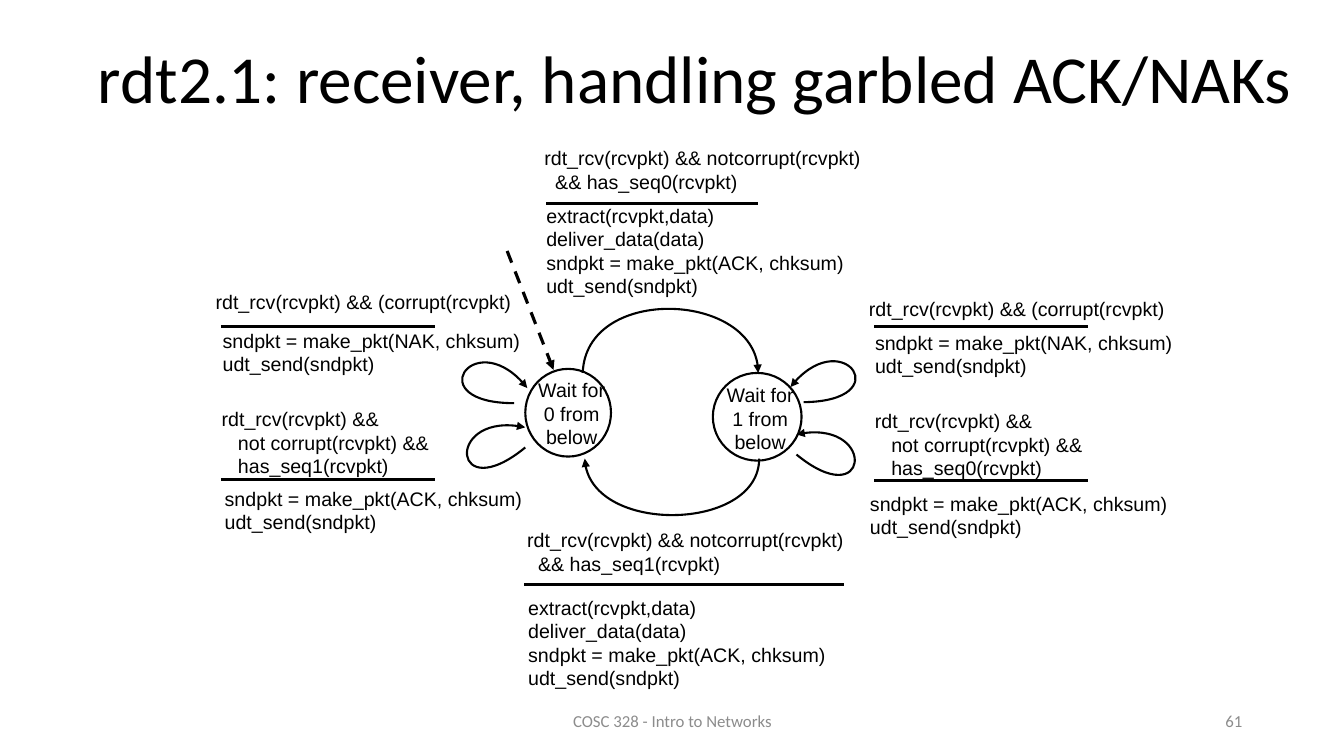
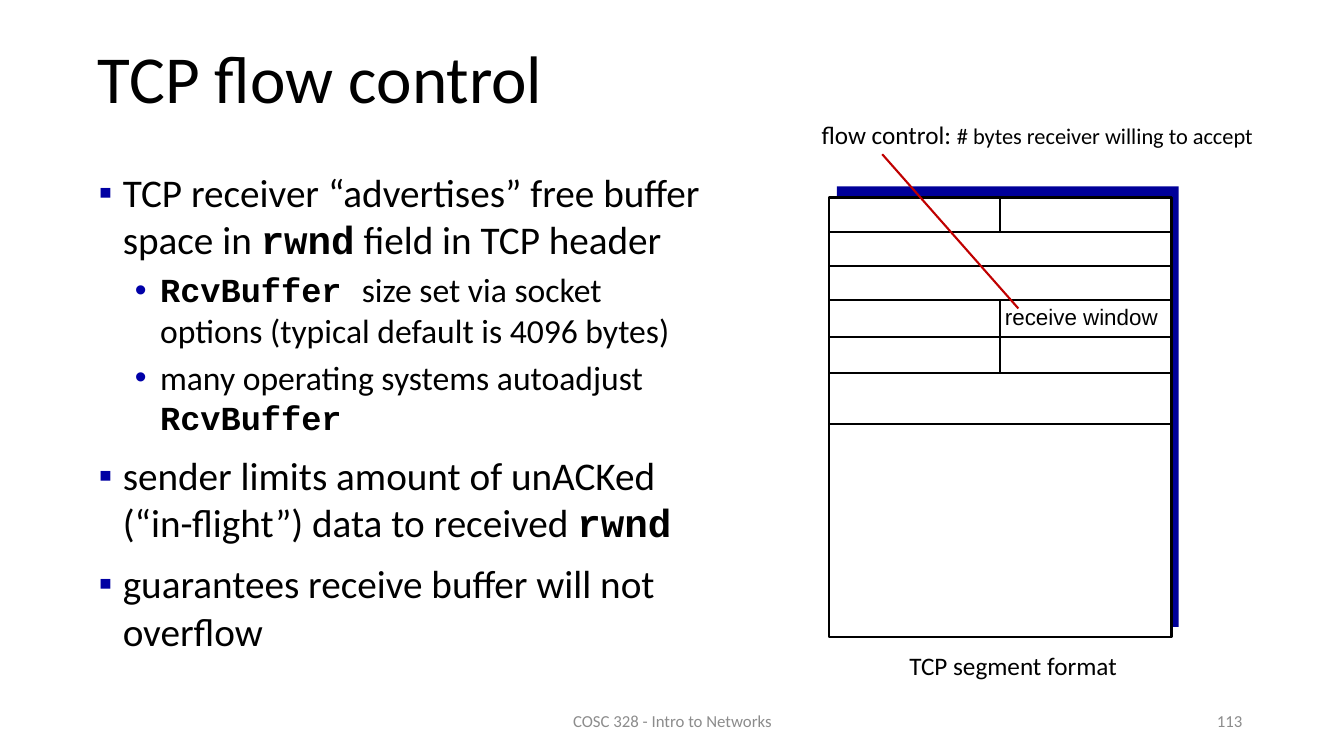
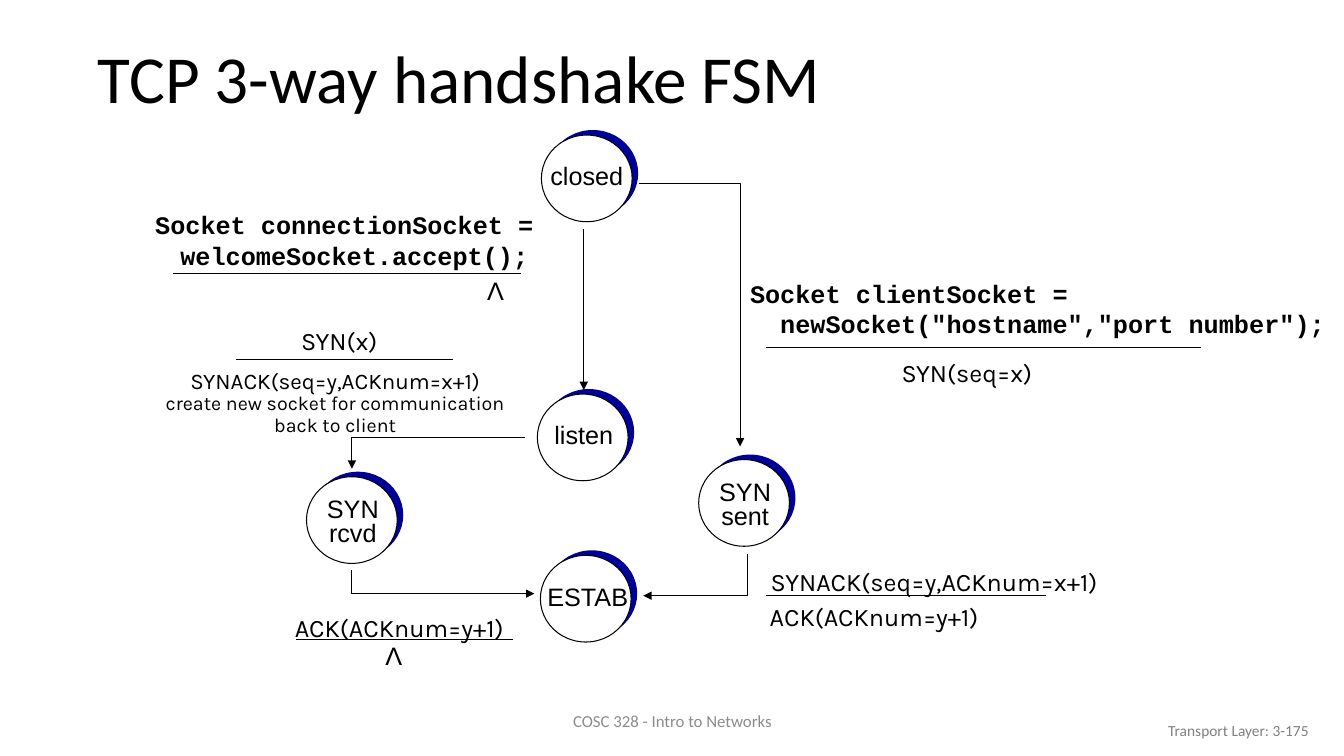
from dataclasses import dataclass
from itertools import accumulate
from typing import NamedTuple

from lxml.etree import SubElement
from pptx import Presentation
from pptx.dml.color import RGBColor
from pptx.enum.dml import MSO_LINE
from pptx.enum.shapes import MSO_CONNECTOR, MSO_SHAPE
from pptx.enum.text import MSO_ANCHOR, MSO_AUTO_SIZE, PP_ALIGN
from pptx.oxml.ns import qn
from pptx.util import Emu, Pt

PX = 9144
LEFT, CENTER, RIGHT = PP_ALIGN.LEFT, PP_ALIGN.CENTER, PP_ALIGN.RIGHT


@dataclass(frozen=True)
class Theme:
    ink: RGBColor = RGBColor(0x00, 0x00, 0x00)
    paper: RGBColor = RGBColor(0xFF, 0xFF, 0xFF)
    navy: RGBColor = RGBColor(0x00, 0x00, 0x99)
    red: RGBColor = RGBColor(0xC0, 0x00, 0x00)
    footer: RGBColor = RGBColor(0x8C, 0x8C, 0x8C)
    chapter: RGBColor = RGBColor(0x80, 0x80, 0x80)
    square_bullet: str = "0000A3"
    round_bullet: str = "0000A8"
    body: str = "Calibri"
    label: str = "Arial"
    code: str = "Courier New"
    message: str = "Karla"
    title_size: int = 48
    point_size: int = 28
    subpoint_size: int = 24
    state_size: int = 18
    note_size: int = 16
    event_size: int = 14
    footer_size: int = 12
    chapter_size: int = 11
    hairline: float = 0.75
    outline: float = 1.5
    rule: float = 2.25


THEME = Theme()


class Span(NamedTuple):
    text: str
    size: int
    font: str = THEME.body
    bold: bool = False
    color: RGBColor = THEME.ink


class Para(NamedTuple):
    spans: tuple
    align: PP_ALIGN = LEFT
    spacing: float = 1.0
    before: int = 0
    level: int = 0
    margin: int = 0
    hanging: int = 0
    bullet: str = ""
    bullet_color: str = ""


def px(value):
    return Emu(value * PX)


def fill_text(frame, paras):
    for index, item in enumerate(paras):
        para = frame.paragraphs[0] if index == 0 else frame.add_paragraph()
        para.alignment, para.line_spacing, para.level = item.align, item.spacing, item.level
        if index and item.before:
            para.space_before = Pt(item.before)
        if item.hanging:
            properties = para._p.get_or_add_pPr()
            properties.set("marL", str(px(item.margin)))
            properties.set("indent", str(px(-item.hanging)))
            if item.bullet:
                color = SubElement(properties, qn("a:buClr"))
                SubElement(color, qn("a:srgbClr"), val=item.bullet_color)
                SubElement(properties, qn("a:buFont"), typeface=THEME.label)
                SubElement(properties, qn("a:buChar"), char=item.bullet)
        for span in item.spans:
            run = para.add_run()
            run.text = span.text
            run.font.size, run.font.name, run.font.bold = Pt(span.size), span.font, span.bold
            run.font.color.rgb = span.color


def add_text(page, area, paras, wrap=True, anchor=MSO_ANCHOR.TOP):
    box = page.shapes.add_textbox(*map(px, area))
    box.text_frame.word_wrap = wrap
    box.text_frame.vertical_anchor = anchor
    fill_text(box.text_frame, paras)


def lines(texts, size=THEME.event_size, font=THEME.label, align=LEFT, spacing=1.0, bold=False):
    return [Para((Span(text, size, font, bold),), align, spacing) for text in texts]


def add_shape(page, kind, area, fill, weight=0):
    shape = page.shapes.add_shape(kind, *map(px, area))
    shape.shadow.inherit = False
    shape.fill.solid()
    shape.fill.fore_color.rgb = fill
    if weight:
        shape.line.color.rgb = THEME.ink
        shape.line.width = Pt(weight)
    else:
        shape.line.fill.background()
    return shape


def style_line(shape, weight, color=THEME.ink, arrow=""):
    shape.line.color.rgb = color
    shape.line.width = Pt(weight)
    if arrow:
        SubElement(shape.line._get_or_add_ln(), qn(f"a:{arrow}End"), type="triangle")


def add_line(page, start, end, weight, color=THEME.ink, arrow="", dashed=False):
    line = page.shapes.add_connector(MSO_CONNECTOR.STRAIGHT, *map(px, start + end))
    if dashed:
        line.line.dash_style = MSO_LINE.DASH
    style_line(line, weight, color, arrow)
    SubElement(line._element.spPr, qn("a:effectLst"))
    return line


def add_route(page, points, weight, arrow="tail", curved=False):
    builder = page.shapes.build_freeform(*points[0], scale=PX)
    builder.add_line_segments(points[1:], close=False)
    route = builder.convert_to_shape()
    route.shadow.inherit = False
    route.fill.background()
    style_line(route, weight, arrow=arrow)
    if curved:
        outline = next(route._element.iter(qn("a:path")))
        segments = outline.findall(qn("a:lnTo"))
        cubic = SubElement(outline, qn("a:cubicBezTo"))
        for segment in segments:
            cubic.append(segment[0])
            outline.remove(segment)


def add_page(deck, title, number="", title_width=1246):
    page = deck.slides.add_slide(deck.slide_layouts[5])
    holder = page.shapes.title
    holder.left, holder.top, holder.width, holder.height = map(px, (87, 32, title_width, 98))
    holder.text_frame.auto_size = MSO_AUTO_SIZE.NONE
    holder.text_frame.vertical_anchor = MSO_ANCHOR.MIDDLE
    holder.text_frame.word_wrap = True
    fill_text(holder.text_frame, [Para((Span(title, THEME.title_size),), spacing=0.9)])
    add_footer(page, (442, 695, 450, 40), "COSC 328 - Intro to Networks", CENTER)
    if number:
        add_footer(page, (942, 695, 300, 40), number, RIGHT)
    return page


def add_footer(page, area, text, align, size=THEME.footer_size, color=THEME.footer):
    para = Para((Span(text, size, color=color),), align)
    add_text(page, area, [para], anchor=MSO_ANCHOR.MIDDLE)


def add_transition(page, condition_area, condition, rule, action_area, action):
    add_text(page, condition_area, lines(condition))
    left, right, height = rule
    add_line(page, (left, height), (right, height), THEME.rule)
    add_text(page, action_area, lines(action))


def build_receiver(deck):
    page = add_page(deck, "rdt2.1: receiver, handling garbled ACK/NAKs", "61", 1214)
    waits = (
        ((521, 366, 85, 87), (523, 370, 88, 67), "0 from below"),
        ((707, 370, 88, 87), (710, 375, 88, 67), "1 from below"),
    )
    for circle, area, text in waits:
        add_shape(page, MSO_SHAPE.OVAL, circle, THEME.paper, THEME.outline)
        add_text(page, area, lines(("Wait for", text), align=CENTER))
    add_line(page, (503, 249), (549, 367), THEME.rule, arrow="tail", dashed=True)

    def good(bit):
        return "rdt_rcv(rcvpkt) && notcorrupt(rcvpkt)", f"  && has_seq{bit}(rcvpkt)"

    def repeated(bit):
        return "rdt_rcv(rcvpkt) &&", "   not corrupt(rcvpkt) &&", f"   has_seq{bit}(rcvpkt)"

    def reply(kind):
        return f"sndpkt = make_pkt({kind}, chksum)", "udt_send(sndpkt)"

    corrupt = ("rdt_rcv(rcvpkt) && (corrupt(rcvpkt)",)
    deliver = ("extract(rcvpkt,data)", "deliver_data(data)") + reply("ACK")
    transitions = (
        ((513, 519, 392, 62), good(1), (520, 837, 580), (514, 586, 421, 109), deliver),
        ((530, 140, 435, 62), good(0), (542, 752, 202), (532, 197, 380, 77), deliver),
        ((852, 290, 314, 67), corrupt, (867, 1079, 324), (858, 323, 331, 45), reply("NAK")),
        ((858, 401, 287, 67), repeated(0), (867, 1079, 477), (853, 483, 322, 45), reply("ACK")),
        ((210, 399, 287, 67), repeated(1), (219, 431, 476), (213, 478, 322, 45), reply("ACK")),
        ((204, 283, 314, 67), corrupt, (219, 431, 324), (211, 321, 331, 45), reply("NAK")),
    )
    for transition in transitions:
        add_transition(page, *transition)
    curves = (
        ("head", ((580, 455), (583, 531), (753, 526), (753, 455))),
        ("tail", ((578, 370), (581, 284), (752, 289), (752, 370))),
        ("tail", ((797, 399), (890, 398), (835, 319), (784, 384))),
        ("tail", ((790, 451), (862, 510), (870, 414), (790, 431))),
        ("tail", ((521, 444), (449, 503), (441, 407), (521, 424))),
        ("tail", ((510, 400), (417, 400), (472, 320), (523, 385))),
    )
    for arrow, points in curves:
        add_route(page, points, THEME.outline, arrow, curved=True)


def point(*spans):
    return Para(spans, before=10, margin=39, hanging=24,
                bullet="▪", bullet_color=THEME.square_bullet)


def subpoint(*spans):
    return Para(spans, before=5, level=1, margin=76, hanging=25,
                bullet="•", bullet_color=THEME.round_bullet)


def build_flow_control(deck):
    page = add_page(deck, "TCP flow control", "113")
    big, small = THEME.point_size, THEME.subpoint_size
    window = Span("rwnd", big, THEME.code, True)
    add_text(page, (73, 162, 637, 537), [
        point(Span("TCP receiver “advertises” free buffer space in ", big), window,
              Span(" field in TCP header", big)),
        subpoint(Span("RcvBuffer ", small, THEME.code, True),
                 Span("size set via socket options (typical default is 4096 bytes)", small)),
        subpoint(Span("many operating systems autoadjust ", small),
                 Span("RcvBuffer", small, THEME.code, True)),
        point(Span("sender limits amount of unACKed (“in-flight”) data to received ", big), window),
        point(Span("guarantees receive buffer will not overflow", big)),
    ])
    add_text(page, (805, 117, 476, 37), [Para((
        Span("flow control: ", THEME.state_size),
        Span("# bytes receiver willing to accept", THEME.note_size)), spacing=0.9)])

    left, top, width, height = 822, 196, 340, 436
    middle = left + width // 2
    add_shape(page, MSO_SHAPE.RECTANGLE, (830, 185, 339, 437), THEME.navy)
    segment = add_shape(page, MSO_SHAPE.RECTANGLE, (left, top, width, height),
                        THEME.paper, THEME.outline)
    row_edges = list(accumulate((34, 34, 34, 36, 36, 51), initial=top))
    for edge in row_edges[1:]:
        add_line(page, (left, edge), (left + width, edge), THEME.outline)
    ports = add_line(page, (middle, top), (middle, row_edges[1]), THEME.outline)
    ports.begin_connect(segment, 0)
    add_line(page, (middle, row_edges[3]), (middle, row_edges[5]), THEME.outline)
    add_text(page, (980, 296, 185, 37),
             lines(("receive window",), THEME.note_size, align=CENTER), wrap=False)
    add_line(page, (1010, 306), (875, 153), THEME.outline, THEME.red)
    add_text(page, (892, 644, 253, 37),
             lines(("TCP segment format",), THEME.state_size, THEME.body, spacing=0.9))


def add_state(page, left, top, area, names, spacing):
    add_shape(page, MSO_SHAPE.OVAL, (left + 6, top - 5, 90, 86), THEME.navy)
    add_shape(page, MSO_SHAPE.OVAL, (left, top, 90, 86), THEME.paper, THEME.hairline)
    add_text(page, area, lines(names, THEME.state_size, align=CENTER, spacing=spacing), wrap=False)


def build_handshake(deck):
    page = add_page(deck, "TCP 3-way handshake FSM")
    add_footer(page, (1008, 705, 300, 40), "Transport Layer: 3-175", RIGHT,
               THEME.chapter_size, THEME.chapter)
    states = (
        (537, 134, (532, 154, 100, 40), ("closed",), 1.0),
        (533, 391, (534, 411, 90, 40), ("listen",), 1.0),
        (304, 473, (305, 490, 90, 58), ("SYN", "rcvd"), 0.8),
        (693, 456, (694, 473, 90, 58), ("SYN", "sent"), 0.8),
        (536, 551, (528, 578, 110, 34), ("ESTAB",), 0.8),
    )
    for state in states:
        add_state(page, *state)

    calls = (
        ((734, 271, 605, 71), ("Socket clientSocket =",
                               "  newSocket(\"hostname\",\"port number\");")),
        ((144, 203, 458, 71), ("Socket connectionSocket = welcomeSocket.accept();",)),
    )
    for area, texts in calls:
        paras = lines(texts, THEME.state_size, THEME.code, bold=True)
        add_text(page, area, [para._replace(margin=25, hanging=25) for para in paras])

    messages = (
        ((473, 268, 37, 40), "Λ", THEME.label, 1.0),
        ((372, 630, 37, 40), "Λ", THEME.label, 1.0),
        ((882, 350, 154, 40), "SYN(seq=x)", THEME.message, 1.0),
        ((288, 318, 97, 40), "SYN(x)", THEME.message, 1.0),
        ((744, 560, 365, 57), "SYNACK(seq=y,ACKnum=x+1)", THEME.message, 0.9),
        ((746, 595, 242, 57), "ACK(ACKnum=y+1)", THEME.message, 0.9),
        ((275, 606, 242, 54), "ACK(ACKnum=y+1)", THEME.message, 0.9),
    )
    for area, text, font, spacing in messages:
        add_text(page, area, lines((text,), THEME.state_size, font, CENTER, spacing), wrap=False)
    add_text(page, (144, 362, 377, 76),
             lines(("SYNACK(seq=y,ACKnum=x+1)",), THEME.note_size, THEME.message, CENTER, 0.9)
             + lines(("create new socket for communication back to client",),
                     THEME.event_size, THEME.message, CENTER, 0.9))

    rules = ((760, 1191, 345), (172, 517, 271), (234, 449, 357), (760, 1037, 591), (294, 509, 634))
    for left, right, height in rules:
        add_line(page, (left, height), (right, height), THEME.hairline)
    add_line(page, (579, 227), (579, 387), THEME.hairline, arrow="tail")
    routes = (
        ((634, 182), (734, 182), (734, 443)),
        ((521, 434), (349, 434), (349, 465)),
        ((349, 566), (349, 589), (530, 589)),
        ((741, 550), (741, 591), (638, 591)),
    )
    for points in routes:
        add_route(page, points, THEME.hairline)


def main():
    deck = Presentation()
    deck.slide_width, deck.slide_height = px(1333), px(750)
    build_receiver(deck)
    build_flow_control(deck)
    build_handshake(deck)
    deck.save("out.pptx")


if __name__ == "__main__":
    main()
